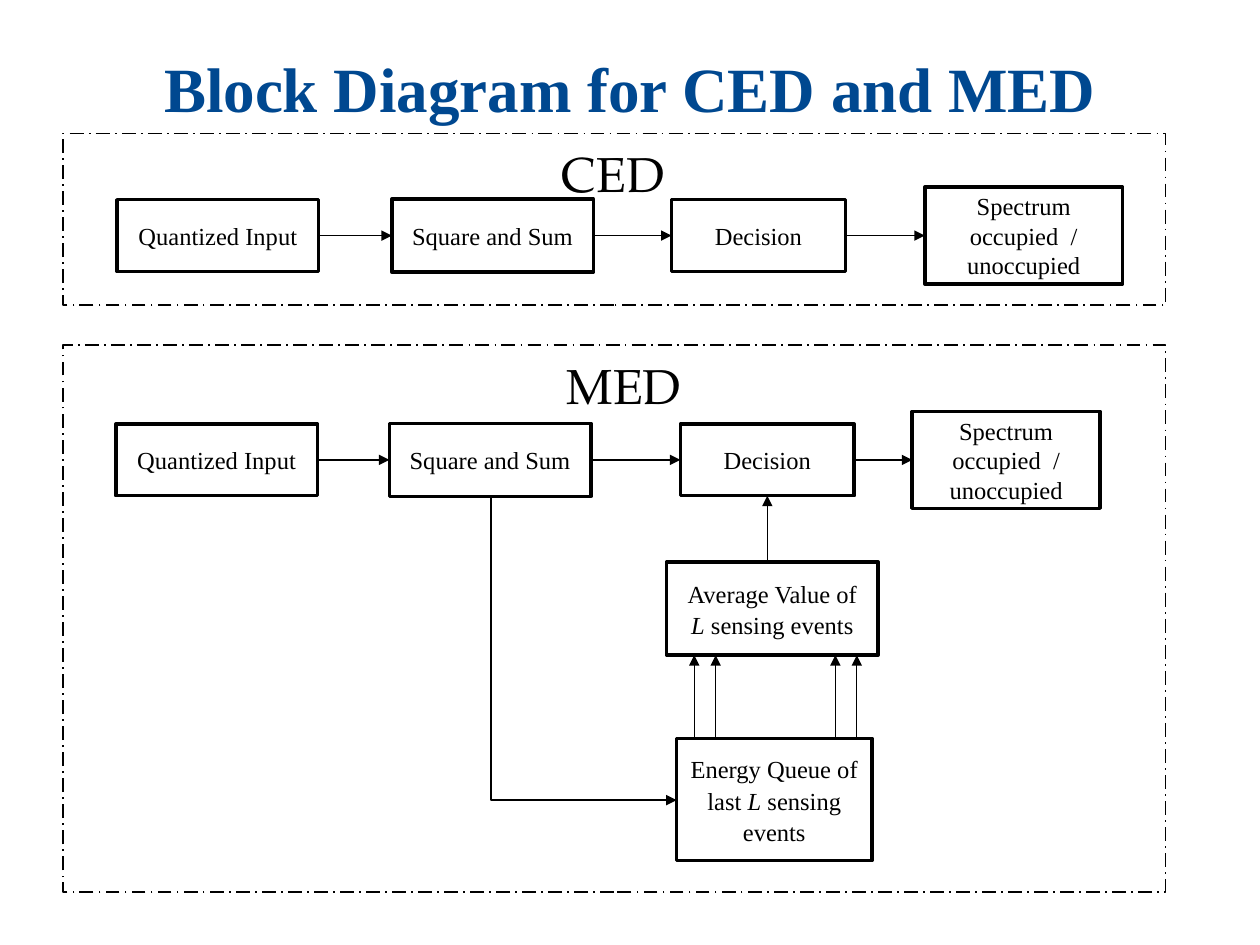
"""Build the block diagram slide for CED and MED on a grid of 100 columns by 75 rows."""
from lxml.etree import SubElement
from pptx import Presentation
from pptx.dml.color import RGBColor
from pptx.enum.dml import MSO_LINE
from pptx.enum.shapes import MSO_CONNECTOR as LINK, MSO_SHAPE
from pptx.enum.text import MSO_ANCHOR as ANCHOR, PP_ALIGN as ALIGN
from pptx.oxml.ns import qn
from pptx.util import Inches, Pt

WIDTH, HEIGHT = Inches(10), Inches(7.5)
TOP, LEFT, BOTTOM, RIGHT = range(4)
SERIF = "Times New Roman"
BODY = {"name": SERIF, "size": Pt(14)}
HEAD = {"name": SERIF, "size": Pt(36), "bold": True}
LABEL = {"name": "TeX Gyre Pagella", "size": Pt(28)}
NAMES = ("Quantized Input", "Square and Sum", "Decision",
         "Spectrum occupied  / unoccupied")


def grid(*cells):
    """Turn grid counts into slide lengths."""
    return [round(cell * WIDTH / 100) for cell in cells]


def paint(part, tint):
    """Give a fill or font colour a hex value."""
    part.rgb = RGBColor.from_string(tint)


def write(shape, text, style, tint="000000", align=ALIGN.CENTER,
          anchor=ANCHOR.MIDDLE, pitch=1.0):
    """Fill a shape with text, setting the parts between stars in italics."""
    frame = shape.text_frame
    frame.word_wrap, frame.vertical_anchor = True, anchor
    para = frame.paragraphs[0]
    para.alignment, para.line_spacing = align, pitch
    for index, part in enumerate(text.split("*")):
        run = para.add_run()
        run.text = part
        for key, value in style.items():
            setattr(run.font, key, value)
        run.font.italic = index % 2 == 1
        paint(run.font.color, tint)


def label(slide, area, text, style, **look):
    """Add a text box."""
    write(slide.shapes.add_textbox(*grid(*area)), text, style, **look)


def rect(slide, area, weight):
    """Add an outlined rectangle without shadow or fill."""
    shape = slide.shapes.add_shape(MSO_SHAPE.RECTANGLE, *grid(*area))
    shape.shadow.inherit = False
    shape.fill.background()
    shape.line.width = Pt(weight)
    paint(shape.line.color, "000000")
    return shape


def frame(slide, top, high):
    """Add a dash-dot frame around one method."""
    rect(slide, (5, top, 87.5, high), 1).line.dash_style = MSO_LINE.LONG_DASH_DOT


def block(slide, area, text, pitch=1.0):
    """Add a white block with centred text."""
    shape = rect(slide, area, 2)
    shape.fill.solid()
    paint(shape.fill.fore_color, "FFFFFF")
    write(shape, text, BODY, pitch=pitch)
    return shape


def arrow(slide, start=(0, 0), end=(0, 0), kind=LINK.STRAIGHT):
    """Add a thin connector with a triangle at its end."""
    line = slide.shapes.add_connector(kind, *grid(*start, *end))
    line.line.width = Pt(0.75)
    paint(line.line.color, "000000")
    SubElement(line.line._get_or_add_ln(), qn("a:tailEnd"), type="triangle")
    SubElement(line._element.spPr, qn("a:effectLst"))
    return line


def elbow(slide, start, end):
    """Add an arrow that goes down first and then across."""
    line = arrow(slide, start, end, LINK.ELBOW)
    geom = line._element.spPr.find(qn("a:prstGeom"))
    SubElement(geom.get_or_add_avLst(), qn("a:gd"), name="adj1", fmla="val 500")


def chain(slide, mid, spans):
    """Add a row of blocks centred on one line and join neighbours."""
    row = [block(slide, (left, mid - high / 2, wide, high), name)
           for name, (left, wide, high) in zip(NAMES, spans)]
    for here, after in zip(row, row[1:]):
        line = arrow(slide)
        line.begin_connect(here, RIGHT)
        line.end_connect(after, LEFT)
    return row


def main():
    """Build and save the slide."""
    deck = Presentation()
    deck.slide_width, deck.slide_height = WIDTH, HEIGHT
    slide = deck.slides.add_slide(deck.slide_layouts[6])
    label(slide, (5, 3, 90, 7.8), "Block Diagram for CED and MED", HEAD,
          tint="004890")

    chain(slide, 18.7, ((9.3, 16, 5.7), (31.1, 16, 5.8),
                        (53.3, 13.8, 5.7), (73.4, 15.7, 7.7)))
    row = chain(slide, 36.5, ((9.2, 16, 5.7), (30.9, 16, 5.8),
                              (54, 13.8, 5.7), (72.4, 14.9, 7.7)))
    block(slide, (53.7, 58.6, 15.5, 9.7),
          "Energy Queue of last *L* sensing events", 1.06)
    block(slide, (52.9, 44.6, 16.8, 7.4),
          "Average Value of *L* sensing events", 1.06)
    arrow(slide, (60.9, 44.6), (60.9, 39.35)).end_connect(row[2], BOTTOM)
    elbow(slide, (38.9, 39.4), (53.7, 63.5))
    for side in (55.1, 66.3):
        for col in (side, side + 1.7):
            arrow(slide, (col, 58.6), (col, 52))

    for name, left, top, high in (("CED", 43.6, 10.6, 13.6),
                                  ("MED", 44, 27.4, 43.4)):
        frame(slide, top, high)
        label(slide, (left, top + 0.3, 12, 5.7), name, LABEL,
              align=ALIGN.LEFT, anchor=ANCHOR.TOP)
    deck.save("out.pptx")


if __name__ == "__main__":
    main()
